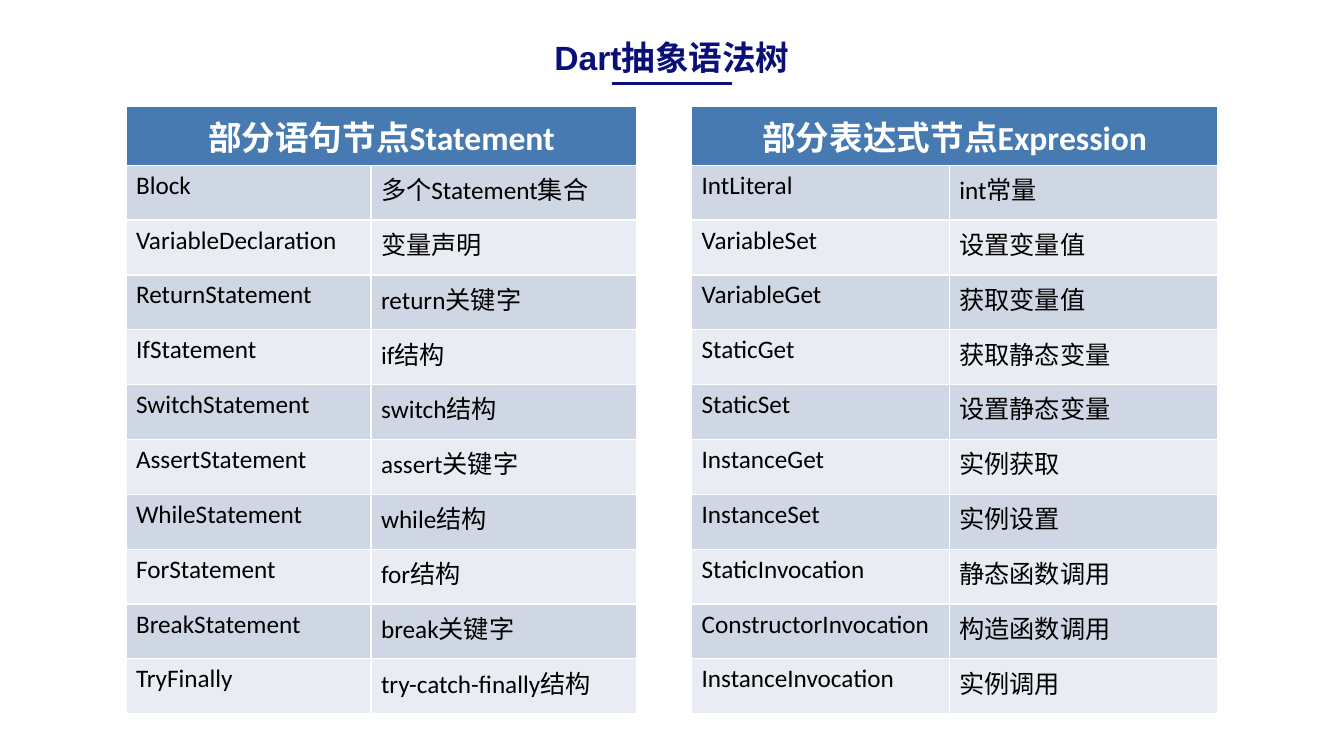
from pptx import Presentation
from pptx.dml.color import RGBColor
from pptx.enum.shapes import MSO_CONNECTOR
from pptx.enum.text import MSO_ANCHOR, MSO_AUTO_SIZE, PP_ALIGN
from pptx.oxml.ns import qn
from pptx.util import Pt
from lxml.etree import SubElement

NAVY = "091077"
HEADER_BLUE = "477AB1"
BANDS = ("CFD7E4", "E9ECF2")
TITLE_FONT = {"name": "Arial", "size": Pt(24), "bold": True}
HEADER_FONT = {"name": "Calibri", "size": Pt(24), "bold": True}
BODY_FONT = {"name": "Calibri", "size": Pt(18), "bold": False}

STATEMENTS = [
    ("Block", "多个Statement集合"),
    ("VariableDeclaration", "变量声明"),
    ("ReturnStatement", "return关键字"),
    ("IfStatement", "if结构"),
    ("SwitchStatement", "switch结构"),
    ("AssertStatement", "assert关键字"),
    ("WhileStatement", "while结构"),
    ("ForStatement", "for结构"),
    ("BreakStatement", "break关键字"),
    ("TryFinally", "try-catch-finally结构"),
]
EXPRESSIONS = [
    ("IntLiteral", "int常量"),
    ("VariableSet", "设置变量值"),
    ("VariableGet", "获取变量值"),
    ("StaticGet", "获取静态变量"),
    ("StaticSet", "设置静态变量"),
    ("InstanceGet", "实例获取"),
    ("InstanceSet", "实例设置"),
    ("StaticInvocation", "静态函数调用"),
    ("ConstructorInvocation", "构造函数调用"),
    ("InstanceInvocation", "实例调用"),
]


def color(value):
    """Turn a hex string into a colour."""
    return RGBColor.from_string(value)


def write(frame, text, font, ink, align=PP_ALIGN.LEFT):
    """Fill a text frame with one formatted paragraph."""
    para = frame.paragraphs[0]
    para.alignment = align
    span = para.add_run()
    span.text = text
    for name, value in font.items():
        setattr(span.font, name, value)
    span.font.color.rgb = color(ink)


def add_title(page, text, left, top, width, height):
    """Place the title with a short rule centred under it."""
    title = page.shapes.title
    place = {"left": left, "top": top, "width": width, "height": height}
    for name, value in place.items():
        setattr(title, name, Pt(value))
    frame = title.text_frame
    layout = {"word_wrap": True, "auto_size": MSO_AUTO_SIZE.NONE,
              "vertical_anchor": MSO_ANCHOR.MIDDLE}
    for name, value in layout.items():
        setattr(frame, name, value)
    write(frame, text, TITLE_FONT, NAVY, PP_ALIGN.CENTER)

    center, rule_top, half = left + width / 2, top + height + 0.8, 43.2
    rule = page.shapes.add_connector(
        MSO_CONNECTOR.STRAIGHT, Pt(center - half), Pt(rule_top),
        Pt(center + half), Pt(rule_top))
    rule.line.color.rgb = color(NAVY)
    rule.line.width = Pt(2.5)
    SubElement(rule._element.spPr, qn("a:effectLst"))


def add_node_table(page, heading, nodes, left, top, widths, height):
    """Draw a table of syntax nodes under a merged heading."""
    count = len(nodes) + 1
    table = page.shapes.add_table(
        count, 2, Pt(left), Pt(top), Pt(sum(widths)), Pt(height)).table
    for column, width in zip(table.columns, widths):
        column.width = Pt(width)
    for row in table.rows:
        row.height = Pt(height / count)

    header = table.cell(0, 0)
    header.merge(table.cell(0, 1))
    header.fill.solid()
    header.fill.fore_color.rgb = color(HEADER_BLUE)
    write(header.text_frame, heading, HEADER_FONT, "FFFFFF", PP_ALIGN.CENTER)

    for index, node in enumerate(nodes):
        for column, text in enumerate(node):
            cell = table.cell(index + 1, column)
            cell.fill.solid()
            cell.fill.fore_color.rgb = color(BANDS[index % 2])
            write(cell.text_frame, text, BODY_FONT, "000000")


def main():
    """Build the slide and save the deck."""
    deck = Presentation()
    deck.slide_width, deck.slide_height = Pt(960), Pt(540)
    page = deck.slides.add_slide(deck.slide_layouts[5])
    add_title(page, "Dart抽象语法树", 365, 23, 230, 36)
    add_node_table(page, "部分语句节点Statement", STATEMENTS,
                   90, 76, (175, 190), 431)
    add_node_table(page, "部分表达式节点Expression", EXPRESSIONS,
                   494, 76, (184, 192), 431)
    deck.save("out.pptx")


if __name__ == "__main__":
    main()
